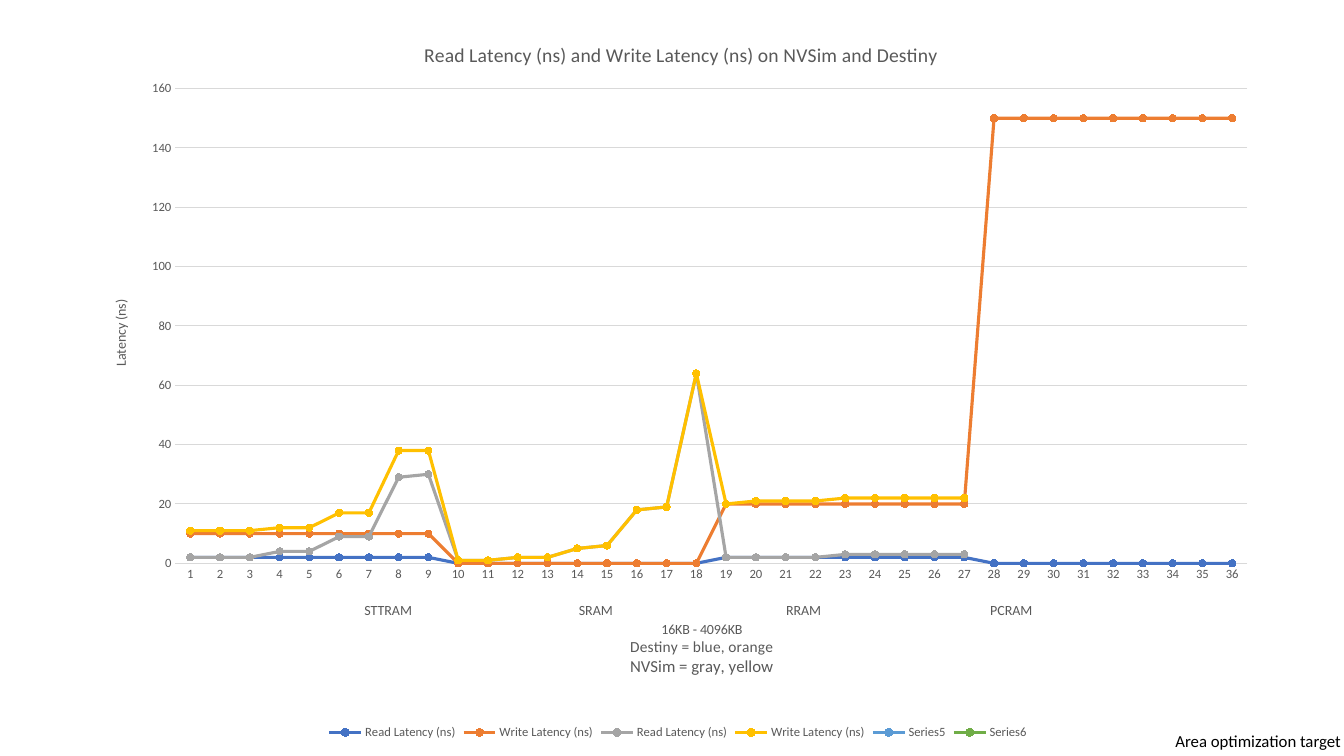
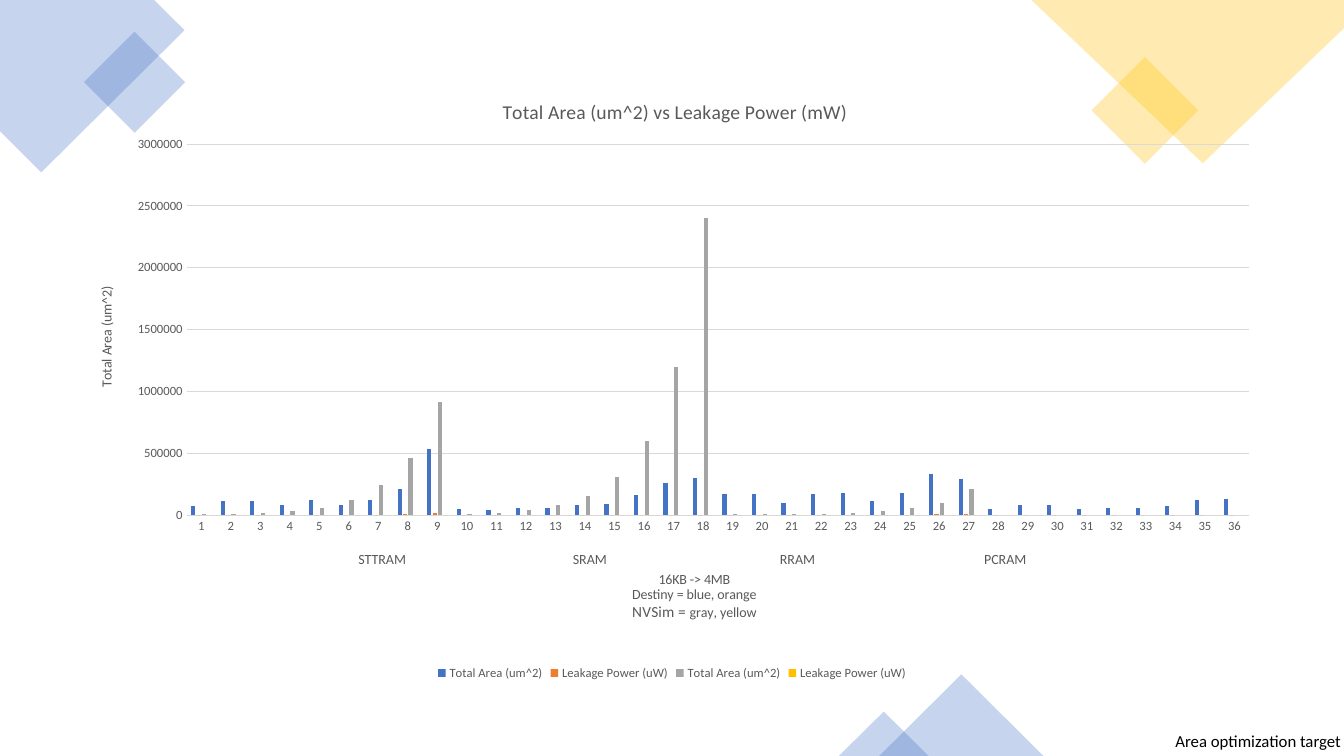
from pptx import Presentation
from pptx.chart.data import CategoryChartData
from pptx.dml.color import RGBColor
from pptx.enum.chart import XL_CHART_TYPE, XL_LEGEND_POSITION, XL_MARKER_STYLE, XL_TICK_MARK
from pptx.enum.shapes import MSO_SHAPE
from pptx.enum.text import MSO_ANCHOR, PP_ALIGN
from pptx.oxml import parse_xml
from pptx.oxml.ns import nsdecls, qn
from pptx.util import Inches, Pt

COLORS = {
    "blue": "4472C4", "orange": "ED7D31", "gray": "A5A5A5", "yellow": "FFC000",
    "sky": "5B9BD5", "green": "70AD47",
    "text": "595959", "grid": "D9D9D9", "black": "000000",
}
RGB = {name: RGBColor.from_string(value) for name, value in COLORS.items()}
FONT = "Calibri"
SERIES_COLORS = ["blue", "orange", "gray", "yellow", "sky", "green"]
MEMORIES = ["STTRAM", "SRAM", "RRAM", "PCRAM"]
MEMORY_STEP = 2.06


def write(p, text, size=10, color="text"):
    r = p.add_run()
    r.text = text
    r.font.name, r.font.size, r.font.bold = FONT, Pt(size), False
    r.font.color.rgb = RGB[color]


def place(element, index, frame, left, top, width=None, height=None):
    """Fix a chart part at a position given in slide inches."""
    x, y, w, h = frame
    values = {"x": (left - x) / w, "y": (top - y) / h}
    modes = '<c:xMode val="edge"/><c:yMode val="edge"/>'
    if width:
        values.update(w=width / w, h=height / h)
        modes = '<c:layoutTarget val="inner"/>' + modes
    sizes = "".join(f'<c:{key} val="{value:.4f}"/>' for key, value in values.items())
    for old in element.findall(qn("c:layout")):
        element.remove(old)
    element.insert(index, parse_xml(
        f'<c:layout {nsdecls("c")}><c:manualLayout>{modes}{sizes}</c:manualLayout></c:layout>'))


# Chart contents; positions are in slide inches
charts = [
    {
        "type": XL_CHART_TYPE.LINE_MARKERS,
        "frame": (0.85, 0.11, 11.75, 7.27),
        "plot": (1.74, 0.88, 10.63, 4.71),
        "title": "Read Latency (ns) and Write Latency (ns) on NVSim and Destiny",
        "title_at": (4.17, 0.37),
        "value_title": "Latency (ns)", "value_at": (1.08, 2.95),
        "notes": [[("16KB - 4096KB", 10)], [("Destiny = blue, orange", 11)],
                  [("NVSim = gray, yellow", 12)]],
        "notes_at": (6.22, 6.12),
        "memory_x": 3.85, "memory_y": 6.05,
        "max": 160, "step": 20,
        "series": [
            ("Read Latency (ns)", [2] * 9 + [0] * 9 + [2] * 9 + [0] * 9),
            ("Write Latency (ns)", [10] * 9 + [0] * 9 + [20] * 9 + [150] * 9),
            ("Read Latency (ns)",
             [2, 2, 2, 4, 4, 9, 9, 29, 30, 1, 1, 2, 2, 5, 6, 18, 19, 64,
              2, 2, 2, 2, 3, 3, 3, 3, 3] + [None] * 9),
            ("Write Latency (ns)",
             [11, 11, 11, 12, 12, 17, 17, 38, 38, 1, 1, 2, 2, 5, 6, 18, 19, 64,
              20, 21, 21, 21, 22, 22, 22, 22, 22] + [None] * 9),
            ("Series5", [None] * 36),
            ("Series6", [None] * 36),
        ],
    },
    {
        "type": XL_CHART_TYPE.COLUMN_CLUSTERED,
        "frame": (0.7, 0.7, 11.93, 6.09),
        "plot": (1.85, 1.43, 10.54, 3.68),
        "title": "Total Area (um^2) vs Leakage Power (mW)",
        "title_at": (4.95, 0.94),
        "value_title": "Total Area (um^2)", "value_at": (0.94, 2.82),
        "notes": [[("16KB -> 4MB", 10)], [("Destiny = blue, orange", 10)],
                  [("NVSim = ", 11), ("gray, yellow", 10)]],
        "notes_at": (6.24, 5.62),
        "memory_x": 3.79, "memory_y": 5.55,
        "max": 3000000, "step": 500000,
        "series": [
            ("Total Area (um^2)",
             [70000, 110000, 110000, 80000, 120000, 80000, 120000, 210000, 530000,
              50000, 40000, 60000, 60000, 80000, 90000, 160000, 260000, 300000,
              170000, 170000, 100000, 170000, 180000, 110000, 180000, 330000, 290000,
              50000, 80000, 80000, 50000, 60000, 60000, 70000, 120000, 130000]),
            ("Leakage Power (uW)",
             [0] * 7 + [10000, 20000] + [0] * 16 + [10000, 10000] + [0] * 9),
            ("Total Area (um^2)",
             [10000, 10000, 20000, 30000, 60000, 120000, 240000, 460000, 910000,
              10000, 20000, 40000, 80000, 150000, 310000, 600000, 1200000, 2400000,
              10000, 10000, 10000, 10000, 20000, 30000, 60000, 100000, 210000]
             + [None] * 9),
            ("Leakage Power (uW)", [0] * 27 + [None] * 9),
        ],
    },
]

# Corner decoration of the second slide
outlines = [
    ("blue", [(1.53, 0), (0, 0), (0, 1.3), (0.41, 1.71), (1.83, 0.3)]),
    ("yellow", [(13.33, 0), (10.23, 0), (11.93, 1.62), (13.33, 0.28)]),
]
presets = [
    ("blue", MSO_SHAPE.RECTANGLE, 315, (0.98, 0.46, 0.71, 0.71)),
    ("yellow", MSO_SHAPE.RECTANGLE, 315, (10.98, 0.72, 0.75, 0.75)),
    ("blue", MSO_SHAPE.ISOSCELES_TRIANGLE, 0, (8.72, 6.69, 1.63, 0.81)),
    ("blue", MSO_SHAPE.ISOSCELES_TRIANGLE, 0, (8.32, 7.06, 0.89, 0.44)),
]

prs = Presentation()
prs.slide_width, prs.slide_height = Inches(13.33), Inches(7.5)
slides = [prs.slides.add_slide(prs.slide_layouts[6]) for _ in charts]

# Translucent corner shapes
shapes = slides[1].shapes
decor = []
for color, points in outlines:
    points = [(Inches(x), Inches(y)) for x, y in points]
    builder = shapes.build_freeform(*points[0])
    builder.add_line_segments(points[1:], close=True)
    decor.append((color, builder.convert_to_shape()))
for color, preset, rotation, box in presets:
    sp = shapes.add_shape(preset, *map(Inches, box))
    sp.rotation = rotation
    decor.append((color, sp))
for color, sp in decor:
    sp.shadow.inherit = False
    sp.line.fill.background()
    sp.fill.solid()
    sp.fill.fore_color.rgb = RGB[color]
    sp._element.spPr.find(".//" + qn("a:srgbClr")).append(
        parse_xml(f'<a:alpha {nsdecls("a")} val="30000"/>'))

for s, c in zip(slides, charts):
    # Chart and its data
    data = CategoryChartData()
    data.categories = [str(n) for n in range(1, 37)]
    for name, values in c["series"]:
        data.add_series(name, values)
    frame = c["frame"]
    chart = s.shapes.add_chart(c["type"], *map(Inches, frame), data).chart
    chart.font.name, chart.font.size = FONT, Pt(10)
    place(chart._chartSpace.chart.plotArea, 0, frame, *c["plot"])

    # Series
    plot = chart.plots[0]
    plot.vary_by_categories = False
    is_line = c["type"] == XL_CHART_TYPE.LINE_MARKERS
    if not is_line:
        plot.gap_width, plot.overlap = 219, -27
    for series, color in zip(plot.series, SERIES_COLORS):
        fills = [series.format.fill]
        if is_line:
            series.smooth = False
            series.format.line.width = Pt(2.25)
            series.marker.style, series.marker.size = XL_MARKER_STYLE.CIRCLE, 5
            marker = series.marker.format
            fills = [series.format.line.fill, marker.fill, marker.line.fill]
        for fill in fills:
            fill.solid()
            fill.fore_color.rgb = RGB[color]

    # Axes and legend
    cat, val = chart.category_axis, chart.value_axis
    val.minimum_scale, val.maximum_scale, val.major_unit = 0, c["max"], c["step"]
    val.format.line.fill.background()
    for line in (cat.format.line, val.major_gridlines.format.line):
        line.color.rgb, line.width = RGB["grid"], Pt(0.75)
    for axis in (cat, val):
        axis.major_tick_mark = axis.minor_tick_mark = XL_TICK_MARK.NONE
    chart.has_legend = True
    chart.legend.position = XL_LEGEND_POSITION.BOTTOM
    chart.legend.include_in_layout = False
    for font in (cat.tick_labels.font, val.tick_labels.font, chart.legend.font):
        font.name, font.size, font.color.rgb = FONT, Pt(9), RGB["text"]

    # Chart title and axis titles
    titles = [
        (chart.chart_title, [[(c["title"], 14)]], c["title_at"], 0),
        (cat.axis_title, c["notes"], c["notes_at"], 0),
        (val.axis_title, [[(c["value_title"], 10)]], c["value_at"], -5400000),
    ]
    for title, lines, at, rotation in titles:
        tf = title.text_frame
        tf._txBody.bodyPr.set("rot", str(rotation))
        for i, line in enumerate(lines):
            p = tf.add_paragraph() if i else tf.paragraphs[0]
            for text, size in line:
                write(p, text, size=size)
        place(title._element, 1, frame, *at)

    # Memory types under the category axis
    for i, memory in enumerate(MEMORIES):
        center = c["memory_x"] + i * MEMORY_STEP
        tf = s.shapes.add_textbox(Inches(center - 0.5), Inches(c["memory_y"] - 0.1),
                                  Inches(1), Inches(0.2)).text_frame
        tf.margin_left = tf.margin_right = tf.margin_top = tf.margin_bottom = 0
        tf.vertical_anchor = MSO_ANCHOR.MIDDLE
        tf.word_wrap = True
        tf.paragraphs[0].alignment = PP_ALIGN.CENTER
        write(tf.paragraphs[0], memory)

    # Corner caption
    tf = s.shapes.add_textbox(Inches(11.56), Inches(7.2), Inches(1.97), Inches(0.3)).text_frame
    tf.word_wrap = True
    write(tf.paragraphs[0], "Area optimization target", size=12, color="black")

prs.save("out.pptx")
